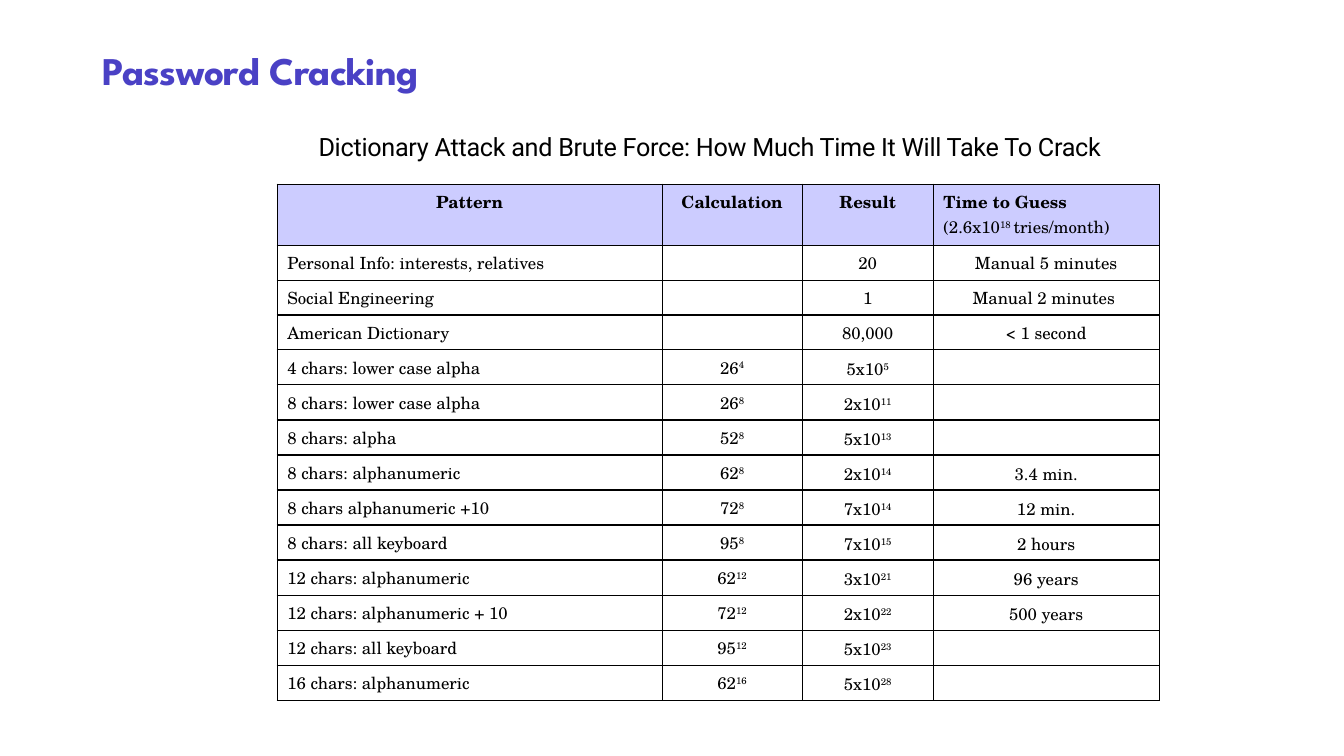
from dataclasses import dataclass

from lxml import etree
from pptx import Presentation
from pptx.dml.color import RGBColor
from pptx.enum.text import MSO_ANCHOR, MSO_AUTO_SIZE, PP_ALIGN
from pptx.oxml.ns import qn
from pptx.util import Pt

LEFT, CENTER = PP_ALIGN.LEFT, PP_ALIGN.CENTER
BOTTOM, NO_FIT = MSO_ANCHOR.BOTTOM, MSO_AUTO_SIZE.NONE

# Content: text between carets is raised
TITLE = "Password Cracking"
SUBTITLE = "Dictionary Attack and Brute Force: How Much Time It Will Take To Crack"
HEADER = ("Pattern", "Calculation", "Result", "Time to Guess")
RATE_NOTE = "(2.6x10^18 ^tries/month)"
ROWS = [
    ("Personal Info: interests, relatives", "", "20", "Manual 5 minutes"),
    ("Social Engineering", "", "1", "Manual 2 minutes "),
    ("American Dictionary", "", "80,000", "< 1 second"),
    ("4 chars: lower case alpha", "26^4", "5x10^5", ""),
    ("8 chars: lower case alpha", "26^8", "2x10^11", ""),
    ("8 chars: alpha", "52^8", "5x10^13", ""),
    ("8 chars: alphanumeric", "62^8", "2x10^14", "3.4 min."),
    ("8 chars alphanumeric +10", "72^8", "7x10^14", "12 min."),
    ("8 chars: all keyboard", "95^8", "7x10^15", "2 hours"),
    ("12 chars: alphanumeric", "62^12", "3x10^21", "96 years"),
    ("12 chars: alphanumeric + 10", "72^12", "2x10^22", "500 years"),
    ("12 chars: all keyboard", "95^12", "5x10^23", ""),
    ("16 chars: alphanumeric", "62^16", "5x10^28", ""),
]


@dataclass(frozen=True)
class Theme:
    title_font: str = "League Spartan"
    body_font: str = "Roboto"
    table_font: str = "TeX Gyre Schola"
    title_size: int = 28
    body_size: int = 18
    table_size: int = 12
    accent: RGBColor = RGBColor(0x4A, 0x41, 0xC5)
    ink: RGBColor = RGBColor(0, 0, 0)
    header_fill: RGBColor = RGBColor(0xCC, 0xCC, 0xFF)


THEME = Theme()

# Geometry in points
TITLE_BOX = (66, 21.6, 828, 49)
SUBTITLE_BOX = (192, 68.4, 630, 50.4)
TABLE_LEFT, TABLE_TOP = 198, 131.6
COLUMN_WIDTHS = (275, 100, 93.7, 161.3)
HEADER_HEIGHT, ROW_HEIGHT = 43.6, 24.9
FIRST_RAISED_ROW = 4


def add_span(para, text, font, size, color, bold=False, spacing=0, raised=False):
    span = para.add_run()
    span.text = text
    span.font.name, span.font.size = font, Pt(size)
    span.font.bold, span.font.color.rgb = bold, color
    properties = span._r.get_or_add_rPr()
    if spacing:
        properties.set("spc", str(round(spacing * 100)))
    if raised:
        properties.set("baseline", "30000")


def place(box, bounds):
    box.left, box.top, box.width, box.height = map(Pt, bounds)
    frame = box.text_frame
    frame.word_wrap, frame.auto_size = True, NO_FIT
    frame.vertical_anchor = BOTTOM
    frame.margin_left = frame.margin_right = Pt(7.2)
    frame.margin_top = frame.margin_bottom = Pt(3.6)
    return frame.paragraphs[0]


def write_line(para, text, align, line_spacing, bold=False):
    para.alignment, para.line_spacing = align, line_spacing
    for index, part in enumerate(text.split("^")):
        if part:
            add_span(para, part, THEME.table_font, THEME.table_size, THEME.ink,
                     bold, raised=index % 2 == 1)
    if not text:
        para._p.get_or_add_endParaRPr().set("sz", str(THEME.table_size * 100))


def draw_borders(cell):
    properties = cell._tc.get_or_add_tcPr()
    for index, side in enumerate(("lnL", "lnR", "lnT", "lnB")):
        line = etree.Element(qn(f"a:{side}"), w=str(Pt(1)))
        fill = etree.SubElement(line, qn("a:solidFill"))
        etree.SubElement(fill, qn("a:srgbClr"), val=str(THEME.ink))
        properties.insert(index, line)


def main():
    deck = Presentation()
    deck.slide_width, deck.slide_height = Pt(960), Pt(540)
    page = deck.slides.add_slide(deck.slide_layouts[1])

    # Title
    para = place(page.shapes.title, TITLE_BOX)
    para.alignment, para.line_spacing = LEFT, 0.9
    add_span(para, TITLE, THEME.title_font, THEME.title_size, THEME.accent, True, -0.4)

    # Subtitle, without the bullet of the body placeholder
    para = place(page.placeholders[1], SUBTITLE_BOX)
    para.alignment, para.line_spacing, para.space_before = CENTER, 1.1, Pt(10)
    properties = para._p.get_or_add_pPr()
    properties.set("marL", "0")
    properties.set("indent", "0")
    etree.SubElement(properties, qn("a:buNone"))
    add_span(para, SUBTITLE, THEME.body_font, THEME.body_size, THEME.ink, spacing=-0.2)

    # Table
    lines = [HEADER, *ROWS]
    heights = [HEADER_HEIGHT] + [ROW_HEIGHT] * len(ROWS)
    table = page.shapes.add_table(
        len(lines), len(HEADER), Pt(TABLE_LEFT), Pt(TABLE_TOP),
        Pt(sum(COLUMN_WIDTHS)), Pt(sum(heights))).table
    table.first_row = table.horz_banding = False
    for column, width in zip(table.columns, COLUMN_WIDTHS):
        column.width = Pt(width)

    for row, (texts, height) in enumerate(zip(lines, heights)):
        table.rows[row].height = Pt(height)
        is_header = row == 0
        for column, text in enumerate(texts):
            cell = table.cell(row, column)
            lowered = row >= FIRST_RAISED_ROW and column >= 2
            cell.margin_left = cell.margin_right = Pt(7.2)
            cell.margin_top, cell.margin_bottom = Pt(5 if lowered else 3.6), Pt(3.6)
            left_column = len(HEADER) - 1 if is_header else 0
            align = LEFT if column == left_column else CENTER
            write_line(cell.text_frame.paragraphs[0], text, align,
                       0.93 if lowered else 0.98, is_header)
            if is_header:
                cell.fill.solid()
                cell.fill.fore_color.rgb = THEME.header_fill
            else:
                cell.fill.background()
            draw_borders(cell)
    note = table.cell(0, len(HEADER) - 1).text_frame.add_paragraph()
    write_line(note, RATE_NOTE, LEFT, 0.98)

    deck.save("out.pptx")


if __name__ == "__main__":
    main()
